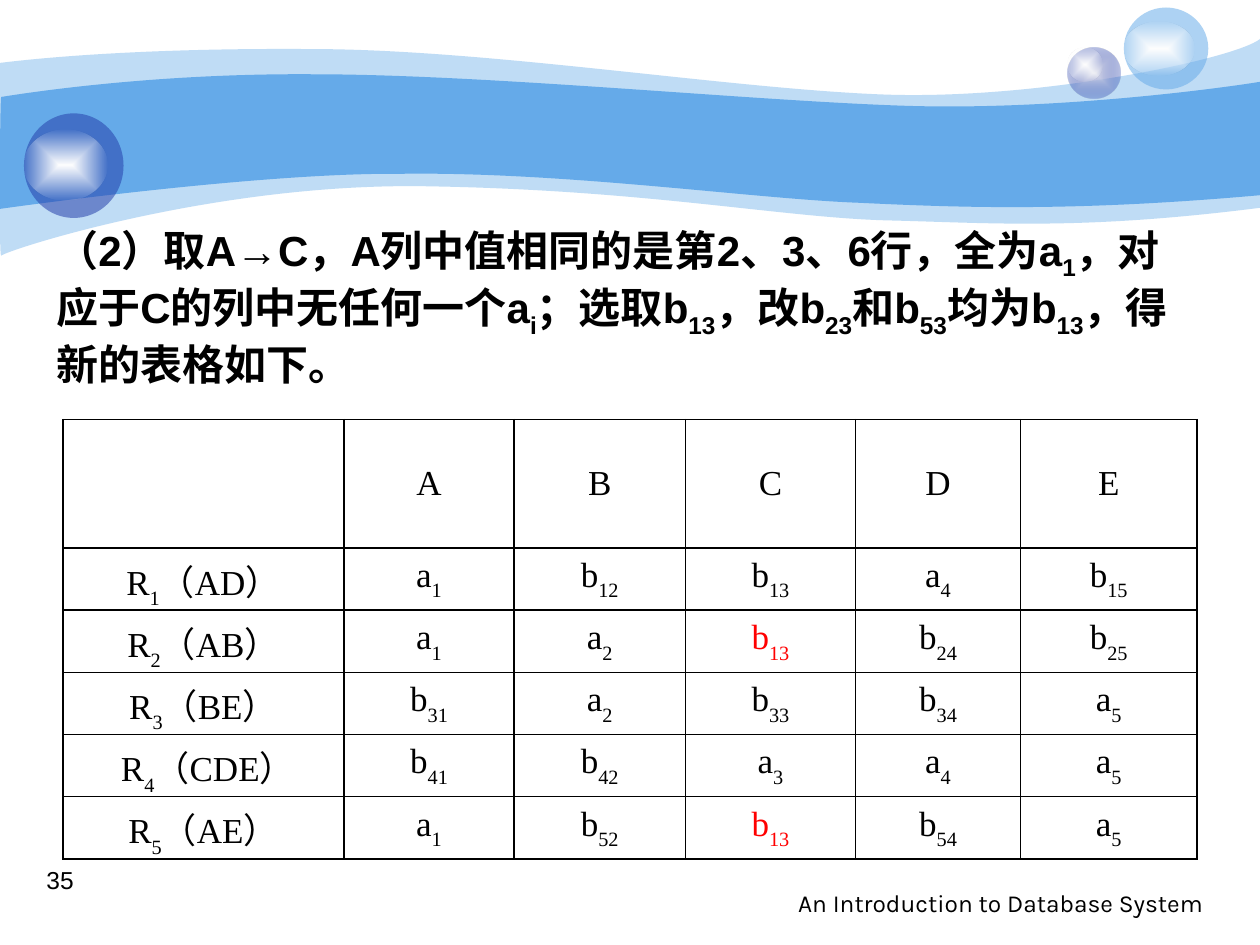
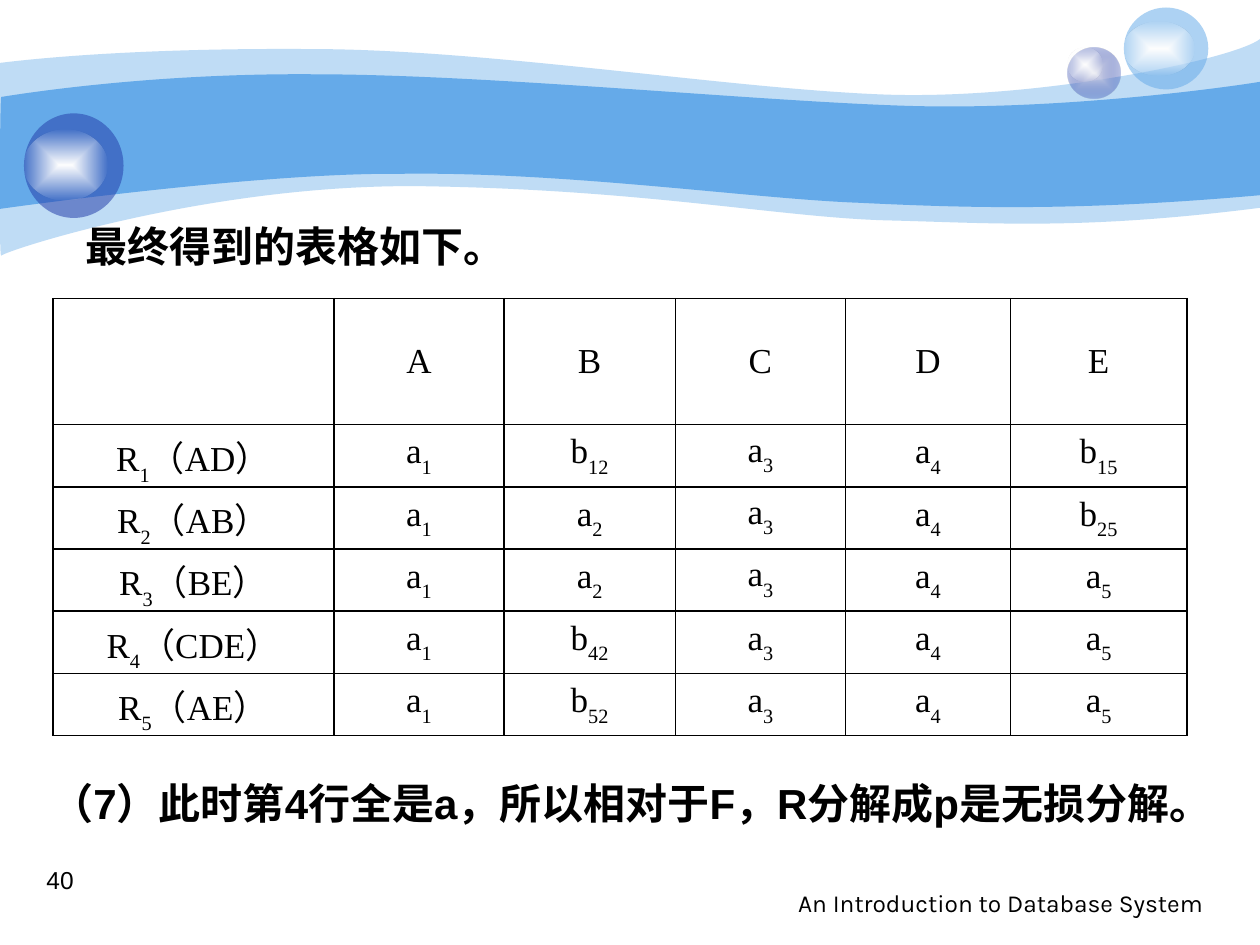
"""Build two slides on the tableau test for a lossless decomposition."""
from pptx import Presentation
from pptx.dml.color import RGBColor
from pptx.enum.shapes import MSO_SHAPE
from pptx.enum.text import MSO_ANCHOR, MSO_AUTO_SIZE, PP_ALIGN
from pptx.oxml import parse_xml
from pptx.oxml.ns import nsdecls, qn
from pptx.util import Inches, Pt

OVAL = MSO_SHAPE.OVAL
TOP, MIDDLE, BOTTOM = MSO_ANCHOR.TOP, MSO_ANCHOR.MIDDLE, MSO_ANCHOR.BOTTOM
LEFT, CENTER, RIGHT = PP_ALIGN.LEFT, PP_ALIGN.CENTER, PP_ALIGN.RIGHT
GROW, FIXED = MSO_AUTO_SIZE.SHAPE_TO_FIT_TEXT, MSO_AUTO_SIZE.NONE

COLORS = {"sky": "65AAE9", "navy": "233DA9", "mist": "E1E2ED",
          "white": "FFFFFF", "black": "000000", "red": "FF0000"}
FONTS = {
    "statement": {"name": "Arial", "size": Pt(24), "bold": True},
    "caption": {"name": "Times New Roman", "size": Pt(24), "bold": True},
    "cell": {"name": "Times New Roman", "size": Pt(20)},
    "footer": {"name": "Karla", "size": Pt(14)},
    "number": {"name": "Arial", "size": Pt(14)},
}

WAVES = [
    ([("sky", 41)], (0, 0.5), [
        [(0.24, 0.47), (1.07, 0.38), (2.47, 0.39)],
        [(3.86, 0.39), (5.75, 0.7), (6.99, 0.75)],
        [(8.22, 0.8), (9.8, 0.47), (10, 0.31)],
        [(10, 1.65)],
        [(8.58, 1.83), (7.87, 1.77), (7.05, 1.75)],
        [(6.22, 1.73), (5.15, 1.51), (3.43, 1.48)],
        [(1.72, 1.44), (0.04, 1.99), (0.01, 2.03)],
        [(-0.01, 2.08), (0, 0.75), (0, 0.5)]]),
    ([("sky", 100)], (0.01, 0.77), [
        [(0.02, 0.77), (1.1, 0.58), (2.48, 0.59)],
        [(3.86, 0.59), (5.95, 0.8), (7.18, 0.84)],
        [(8.41, 0.88), (9.76, 0.69), (10, 0.65)],
        [(10, 1.55)],
        [(8.53, 1.68), (7.65, 1.65), (6.82, 1.61)],
        [(5.99, 1.58), (4.47, 1.36), (3.17, 1.38)],
        [(2.03, 1.37), (-0.02, 1.66), (-0.01, 1.66)],
        [(0, 1.66), (0, 0.77), (0.01, 0.77)]]),
]
GLOW = [("white", 100), ("white", 0)]
BUBBLES = [
    ((8.47, 0.38, 0.42, 0.4), [("mist", 100), ("navy", 31)]),
    ((8.47, 0.38, 0.28, 0.27), GLOW),
    ((8.92, 0.06, 0.67, 0.65), [("sky", 53)]),
    ((8.92, 0.17, 0.56, 0.43), GLOW),
    ((0.19, 0.9, 0.79, 0.83), [("navy", 53)]),
    ((0.19, 1.03, 0.66, 0.56), GLOW),
]

FOOTER = "An Introduction to Database System"
ATTRIBUTES = ["", "A", "B", "C", "D", "E"]
COLUMN_WIDTHS = [2.23, 1.35, 1.36, 1.35, 1.31, 1.4]
SLIDES = [
    {"number": "35",
     "texts": [
         ("（2）取A→C，A列中值相同的是第2、3、6行，全为a_1_，对应于C的列中无任何一个a_i_；"
          "选取b_13_，改b_23_和b_53_均为b_13_，得新的表格如下。",
          (0.35, 1.78, 9.26, 1.31), "statement", LEFT, True)],
     "place": (0.5, 3.33), "row_heights": (1.02, 0.48),
     "rows": ["R_1_（AD）|a_1|b_12|b_13|a_4|b_15",
              "R_2_（AB）|a_1|a_2|b_13|b_24|b_25",
              "R_3_（BE）|b_31|a_2|b_33|b_34|a_5",
              " R_4_（CDE）|b_41|b_42|a_3|a_4|a_5",
              "R_5_（AE）|a_1|b_52|b_13|b_54|a_5"],
     "changed": {(2, 3), (5, 3)}, "raised": set()},
    {"number": "40",
     "texts": [
         ("最终得到的表格如下。 ", (0.56, 1.7, 3.64, 0.5), "caption", CENTER, False),
         ("（7）此时第4行全是a，所以相对于F，R分解成p是无损分解。",
          (0.14, 6.12, 9.74, 0.5), "statement", CENTER, False)],
     "place": (0.42, 2.37), "row_heights": (1, 0.47),
     "rows": ["R_1_（AD）|a_1|b_12|a_3|a_4|b_15",
              "R_2_（AB）|a_1|a_2|a_3|a_4|b_25",
              "R_3_（BE）|a_1|a_2|a_3|a_4|a_5",
              "R_4_（CDE）|a_1|b_42|a_3|a_4|a_5",
              "R_5_（AE）|a_1|b_52|a_3|a_4|a_5"],
     "changed": set(), "raised": {(1, 3), (2, 3), (3, 3)}},
]


def color_xml(color, opacity):
    return f'<a:srgbClr val="{COLORS[color]}"><a:alpha val="{opacity * 1000}"/></a:srgbClr>'


def paint(shape, stops):
    shape.shadow.inherit = False
    shape.line.fill.background()
    if len(stops) == 1:
        fill = f'<a:solidFill {nsdecls("a")}>{color_xml(*stops[0])}</a:solidFill>'
    else:
        steps = "".join(f'<a:gs pos="{i * 100000}">{color_xml(*stop)}</a:gs>'
                        for i, stop in enumerate(stops))
        fill = (f'<a:gradFill {nsdecls("a")} rotWithShape="1"><a:gsLst>{steps}</a:gsLst>'
                '<a:path path="shape"><a:fillToRect l="50000" t="50000" r="50000" b="50000"/>'
                '</a:path></a:gradFill>')
    shape._element.spPr.insert(2, parse_xml(fill))


def add_wave(slide, stops, start, segments):
    points = [tuple(map(Inches, point)) for segment in segments for point in segment]
    outline = slide.shapes.build_freeform(*map(Inches, start))
    outline.add_line_segments(points, close=True)
    wave = outline.convert_to_shape()
    legs = iter(list(wave._element.iter(qn("a:lnTo"))))
    for segment in segments:
        first, *others = [next(legs) for _ in segment]
        if others:
            curve = parse_xml(f'<a:cubicBezTo {nsdecls("a")}/>')
            first.addprevious(curve)
            for leg in (first, *others):
                curve.append(leg[0])
                leg.getparent().remove(leg)
    paint(wave, stops)


def write(paragraph, text, style, align, color="black", drop=-25):
    paragraph.alignment = align
    for i, piece in enumerate(text.split("_")):
        if not piece:
            continue
        run = paragraph.add_run()
        run.text = piece
        for key, value in FONTS[style].items():
            setattr(run.font, key, value)
        run.font.color.rgb = RGBColor.from_string(COLORS[color])
        if i % 2:
            run._r.get_or_add_rPr().set("baseline", str(drop * 1000))


def add_text(slide, text, box, style, align, wrap=True, anchor=MIDDLE, size=FIXED):
    frame = slide.shapes.add_textbox(*map(Inches, box)).text_frame
    layout = {"word_wrap": wrap, "vertical_anchor": anchor, "auto_size": size}
    for key, value in layout.items():
        setattr(frame, key, value)
    write(frame.paragraphs[0], text, style, align)


def add_backdrop(slide):
    for wave in WAVES:
        add_wave(slide, *wave)
    for box, stops in BUBBLES:
        paint(slide.shapes.add_shape(OVAL, *map(Inches, box)), stops)


def add_borders(cell):
    for i, side in enumerate("LRTB"):
        cell._tc.get_or_add_tcPr().insert(i, parse_xml(
            f'<a:ln{side} {nsdecls("a")} w="{Pt(1)}"><a:solidFill>'
            f'{color_xml("black", 100)}</a:solidFill></a:ln{side}>'))


def add_tableau(slide, content):
    rows = [ATTRIBUTES] + [row.split("|") for row in content["rows"]]
    head, body = content["row_heights"]
    heights = [head] + [body] * len(content["rows"])
    box = (*content["place"], sum(COLUMN_WIDTHS), sum(heights))
    tableau = slide.shapes.add_table(len(rows), len(ATTRIBUTES), *map(Inches, box)).table
    tableau.first_row = tableau.horz_banding = False
    for column, width in zip(tableau.columns, COLUMN_WIDTHS):
        column.width = Inches(width)
    for r, (row, height) in enumerate(zip(rows, heights)):
        tableau.rows[r].height = Inches(height)
        for c, symbol in enumerate(row):
            cell = tableau.cell(r, c)
            cell.fill.background()
            add_borders(cell)
            cell.vertical_anchor = TOP if (r, c) in content["raised"] else MIDDLE
            paragraph = cell.text_frame.paragraphs[0]
            color = "red" if (r, c) in content["changed"] else "black"
            write(paragraph, symbol, "cell", CENTER, color, drop=-30)
            indent = Inches(0.38)
            for key, value in {"marL": indent, "indent": -indent}.items():
                paragraph._p.get_or_add_pPr().set(key, str(value))


def main():
    deck = Presentation()
    deck.slide_width, deck.slide_height = Inches(10), Inches(7.5)
    for content in SLIDES:
        slide = deck.slides.add_slide(deck.slide_layouts[6])
        add_backdrop(slide)
        for text in content["texts"]:
            add_text(slide, *text, size=GROW)
        add_tableau(slide, content)
        add_text(slide, FOOTER, (5.71, 6.98, 3.94, 0.35), "footer", RIGHT, anchor=BOTTOM)
        add_text(slide, content["number"], (0.27, 6.82, 0.64, 0.5), "number", LEFT, anchor=TOP)
    deck.save("out.pptx")


if __name__ == "__main__":
    main()
